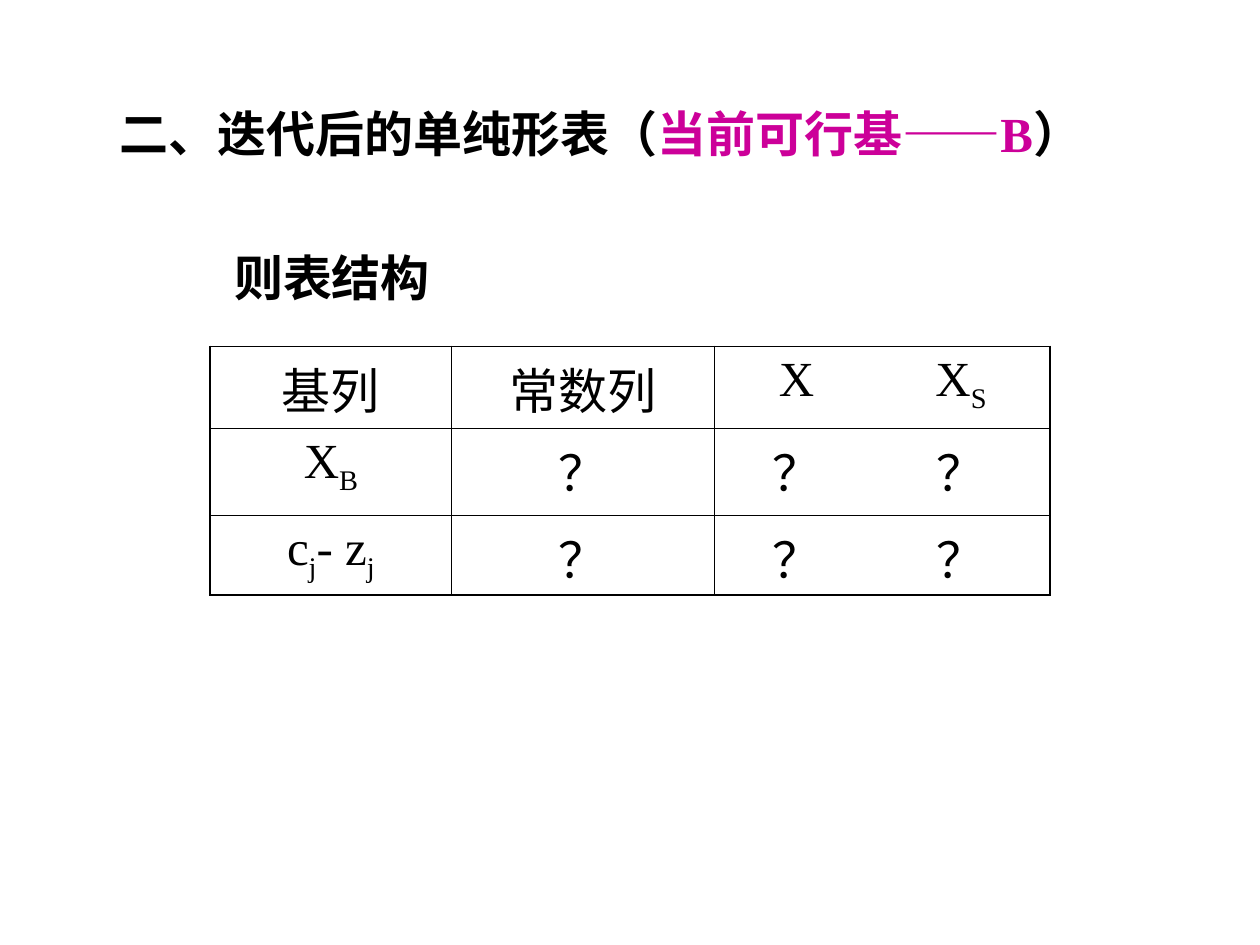
from dataclasses import dataclass

from pptx import Presentation
from pptx.dml.color import RGBColor
from pptx.enum.text import MSO_ANCHOR, MSO_AUTO_SIZE, PP_ALIGN
from pptx.oxml.ns import qn
from pptx.util import Pt
from lxml import etree

TOP = MSO_ANCHOR.TOP
GROW = MSO_AUTO_SIZE.SHAPE_TO_FIT_TEXT
LEFT, MID = PP_ALIGN.LEFT, PP_ALIGN.CENTER
BLACK, PINK = "000000", "CC0099"
THIN, THICK = 0.45, 1.08
STOPS = (40, 134)  # centre tabs of the X and Xs columns
FRAME = dict(word_wrap=False, auto_size=GROW, vertical_anchor=TOP,
             margin_left=Pt(7.2), margin_right=Pt(7.2),
             margin_top=Pt(3.6), margin_bottom=Pt(3.6))


@dataclass
class Bit:
    text: str
    hue: str = BLACK
    sub: bool = False


@dataclass
class Line:
    box: tuple
    bits: list


HEAD = Line((61.2, 55.4, 577.4, 41), [
    Bit("二、迭代后的单纯形表（"), Bit("当前可行基——B", PINK), Bit("）")])
LEAD = Line((126.7, 138.2, 126, 41), [Bit("则表结构")])

COLS = (138.2, 149.8, 192)
ROWS = (46.8, 49.7, 45.4)
ASK, PAIR = [Bit("？")], [Bit("\t？\t？")]
CELLS = [
    [[Bit("基列")], [Bit("常数列")], [Bit("\tX\tX"), Bit("S", sub=True)]],
    [[Bit("X"), Bit("B", sub=True)], ASK, PAIR],
    [[Bit("c"), Bit("j", sub=True), Bit("- z"), Bit("j", sub=True)],
     ASK, PAIR],
]


def tint(hue: str) -> RGBColor:
    return RGBColor.from_string(hue)


def write(para, bits: list, bold: bool = False) -> None:
    look = dict(size=Pt(28), name="Times New Roman", bold=bold)
    for bit in bits:
        run = para.add_run()
        run.text = bit.text
        for key, value in look.items():
            setattr(run.font, key, value)
        run.font.color.rgb = tint(bit.hue)
        if bit.sub:
            run._r.get_or_add_rPr().set("baseline", "-25000")


def place(shape, line: Line) -> None:
    sides = ("left", "top", "width", "height")
    for key, value in zip(sides, line.box):
        setattr(shape, key, Pt(value))
    for key, value in FRAME.items():
        setattr(shape.text_frame, key, value)
    para = shape.text_frame.paragraphs[0]
    para.alignment = LEFT
    write(para, line.bits, bold=True)


def add_tabs(para) -> None:
    tabs = etree.SubElement(para._p.get_or_add_pPr(), qn("a:tabLst"))
    for stop in STOPS:
        etree.SubElement(tabs, qn("a:tab"), pos=str(Pt(stop)), algn="ctr")


def edge(cell, side: str, width: float) -> None:
    rule = etree.SubElement(cell._tc.get_or_add_tcPr(), qn("a:ln" + side),
                            w=str(Pt(width)))
    fill = etree.SubElement(rule, qn("a:solidFill"))
    etree.SubElement(fill, qn("a:srgbClr"), val=BLACK)


def draw_cell(cell, row: int, col: int) -> None:
    bits = CELLS[row][col]
    outer = dict(L=col == 0, R=col == len(COLS) - 1,
                 T=row == 0, B=row == len(ROWS) - 1)
    for side, thick in outer.items():
        edge(cell, side, THICK if thick else THIN)
    cell.fill.background()
    cell.vertical_anchor = TOP
    para = cell.text_frame.paragraphs[0]
    paired = "\t" in bits[0].text
    para.alignment = LEFT if paired else MID
    if paired:
        add_tabs(para)
    write(para, bits)


def draw_table(slide) -> None:
    grid = slide.shapes.add_table(len(ROWS), len(COLS), Pt(120), Pt(198),
                                  Pt(sum(COLS)), Pt(sum(ROWS))).table
    grid.first_row = grid.horz_banding = False
    for col, width in zip(grid.columns, COLS):
        col.width = Pt(width)
    for row, height in enumerate(ROWS):
        grid.rows[row].height = Pt(height)
        for col in range(len(COLS)):
            draw_cell(grid.cell(row, col), row, col)


def main() -> None:
    deck = Presentation()
    deck.slide_width, deck.slide_height = Pt(720), Pt(540)
    slide = deck.slides.add_slide(deck.slide_layouts[5])
    # Title, table and lead-in
    place(slide.shapes.title, HEAD)
    draw_table(slide)
    place(slide.shapes.add_textbox(0, 0, 0, 0), LEAD)
    deck.save("out.pptx")


if __name__ == "__main__":
    main()
